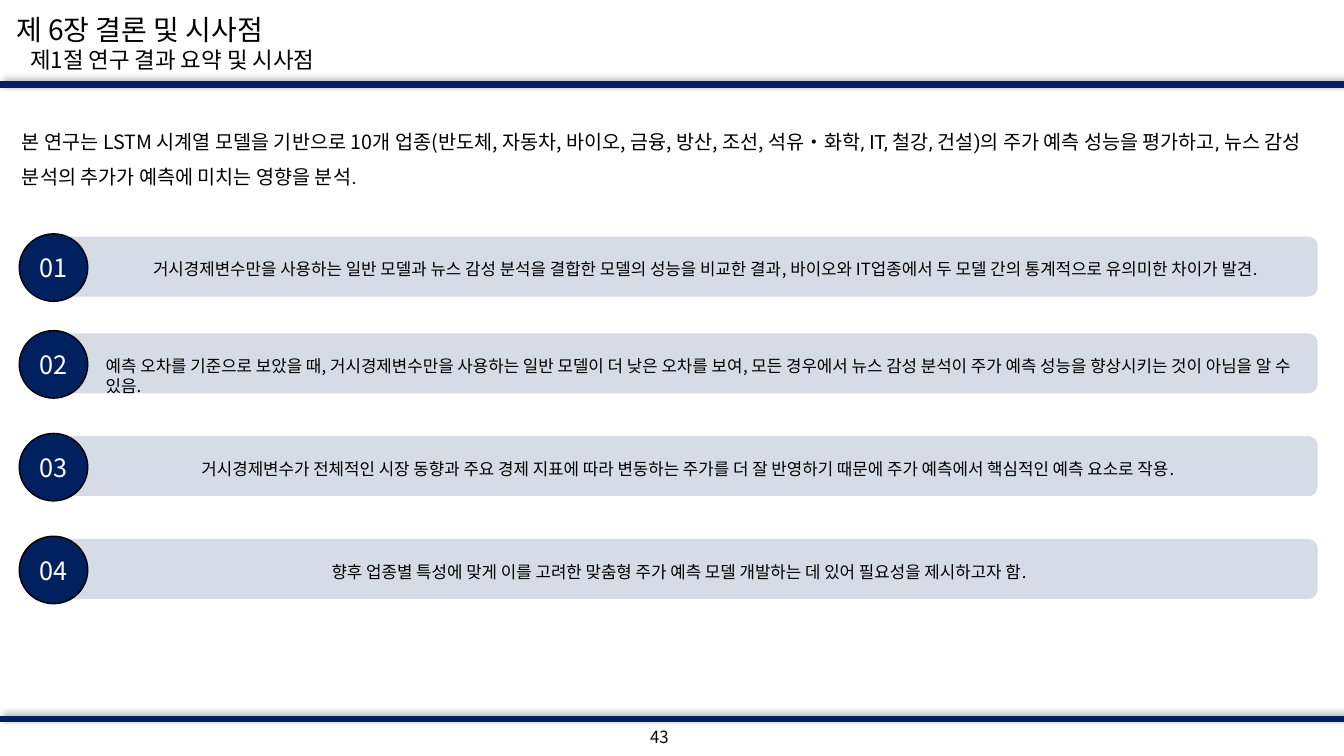
from lxml.etree import SubElement
from pptx import Presentation
from pptx.dml.color import RGBColor
from pptx.enum.shapes import MSO_CONNECTOR as Link, MSO_SHAPE as Shape
from pptx.enum.text import MSO_ANCHOR as Anchor, MSO_AUTO_SIZE as Fit, PP_ALIGN as Align
from pptx.oxml.ns import qn
from pptx.util import Inches, Pt

WIDE, HIGH = Inches(13.33), Inches(7.5)
NAVY, PALE, BLACK, WHITE = "002060", "D6DCE5", "000000", "FFFFFF"
FONT = "Noto Sans CJK KR"

TITLE = "제 6장 결론 및 시사점"
PART = "제1절 연구 결과 요약 및 시사점"
INTRO = (
    "본 연구는 LSTM 시계열 모델을 기반으로 10개 업종(반도체, 자동차, 바이오, 금융, 방산, 조선, 석유",
    "•화학, IT, 철강, 건설)의 주가 예측 성능을 평가하고, 뉴스 감성 분석의 추가가 예측에 미치는 영향을 분석.",
)
# Bar top, text left and text width in percent of the slide, then wording
ITEMS = [
    (31.2, 10.65, 83.4, "거시경제변수만을 사용하는 일반 모델과 뉴스 감성 분석을 결합한 모델의 성능을 "
     "비교한 결과, 바이오와 IT업종에서 두 모델 간의 통계적으로 유의미한 차이가 발견."),
    (44.0, 7.13, 92, "예측 오차를 기준으로 보았을 때, 거시경제변수만을 사용하는 일반 모델이 더 낮은 "
     "오차를 보여, 모든 경우에서 뉴스 감성 분석이 주가 예측 성능을 향상시키는 것이 아님을 알 수 있음."),
    (57.6, 14.25, 73.7, "거시경제변수가 전체적인 시장 동향과 주요 경제 지표에 따라 변동하는 주가를 더 잘 "
     "반영하기 때문에 주가 예측에서 핵심적인 예측 요소로 작용."),
    (71.2, 23.93, 54, "향후 업종별 특성에 맞게 이를 고려한 맞춤형 주가 예측 모델 개발하는 데 있어 "
     "필요성을 제시하고자 함."),
]


def color(code):
    return RGBColor.from_string(code)


def area(x, y, w, h):
    """Turn percent of the slide into lengths."""
    return [int(side * part / 100) for side, part in zip((WIDE, HIGH, WIDE, HIGH), (x, y, w, h))]


def style(run, size, ink=BLACK, face=FONT):
    font = run.font
    font.size, font.bold, font.name = Pt(size), False, face
    font.color.rgb = color(ink)
    SubElement(run._r.get_or_add_rPr(), qn("a:ea"), typeface=FONT)


def add_rule(slide, y):
    x, top, wide, _ = area(0, y, 100, 0)
    rule = slide.shapes.add_connector(Link.STRAIGHT, x, top, x + wide, top)
    rule.line.color.rgb = color(NAVY)
    rule.line.width = Pt(4.5)
    effect = SubElement(rule._element.spPr, qn("a:effectLst"))
    shade = SubElement(effect, qn("a:outerShdw"), blurRad=str(Pt(4)), dist=str(Pt(3)),
                       dir="18900000", algn="bl", rotWithShape="0")
    tint = SubElement(shade, qn("a:srgbClr"), val=BLACK)
    SubElement(tint, qn("a:alpha"), val="40000")


def add_text(slide, box, words, size):
    frame = slide.shapes.add_textbox(*area(*box)).text_frame
    frame.word_wrap = True
    frame.auto_size = Fit.SHAPE_TO_FIT_TEXT
    frame.text = words
    para = frame.paragraphs[0]
    para._p.get_or_add_pPr().set("hangingPunct", "1")
    style(para.runs[0], size)
    return para


def add_form(slide, kind, box, fill, edge):
    form = slide.shapes.add_shape(kind, *area(*box))
    form.shadow.inherit = False
    form.fill.solid()
    form.fill.fore_color.rgb = color(fill)
    form.line.color.rgb = color(edge)
    form.line.width = Pt(1)
    return form


def add_item(slide, num, top, left, wide, words):
    add_form(slide, Shape.ROUNDED_RECTANGLE, (3.6, top, 94.5, 8.13), PALE, WHITE)
    disc = add_form(slide, Shape.OVAL, (1.43, top - 0.27, 5.1, 8.93), NAVY, BLACK)
    frame = disc.text_frame
    frame.text = f"{num:02}"
    frame.vertical_anchor = Anchor.MIDDLE
    frame.paragraphs[0].alignment = Align.CENTER
    style(frame.paragraphs[0].runs[0], 18, WHITE)
    add_text(slide, (left, top + 2.4, wide, 4), words, 12)


def set_title(slide):
    title = slide.shapes.title
    title.left, title.top, title.width, title.height = area(0.45, 0.93, 38.1, 9.87)
    frame = title.text_frame
    frame.text = f"{TITLE}\n{PART}"
    frame.vertical_anchor = Anchor.TOP
    frame.auto_size = Fit.NONE
    for para, size in zip(frame.paragraphs, (20, 16)):
        para.alignment = Align.LEFT
        style(para.runs[0], size)
    props = frame.paragraphs[1]._p.get_or_add_pPr()
    props.set("marL", str(Inches(0.14)))
    props.set("indent", "0")


def main():
    deck = Presentation()
    deck.slide_width, deck.slide_height = WIDE, HIGH
    slide = deck.slides.add_slide(deck.slide_layouts[5])

    # Heading and rules
    set_title(slide)
    for y in (11.2, 95.07):
        add_rule(slide, y)

    # Introduction
    para = add_text(slide, (0.9, 14.93, 98.8, 10.27), INTRO[0], 14)
    para.line_spacing = 1.5
    rest = para.add_run()
    rest.text = INTRO[1]
    style(rest, 14, face="Roboto")

    # Numbered findings
    for num, item in enumerate(ITEMS, 1):
        add_item(slide, num, *item)

    # Page number
    add_text(slide, (47.64, 95.47, 3.23, 4), "43", 12)
    deck.save("out.pptx")


if __name__ == "__main__":
    main()
